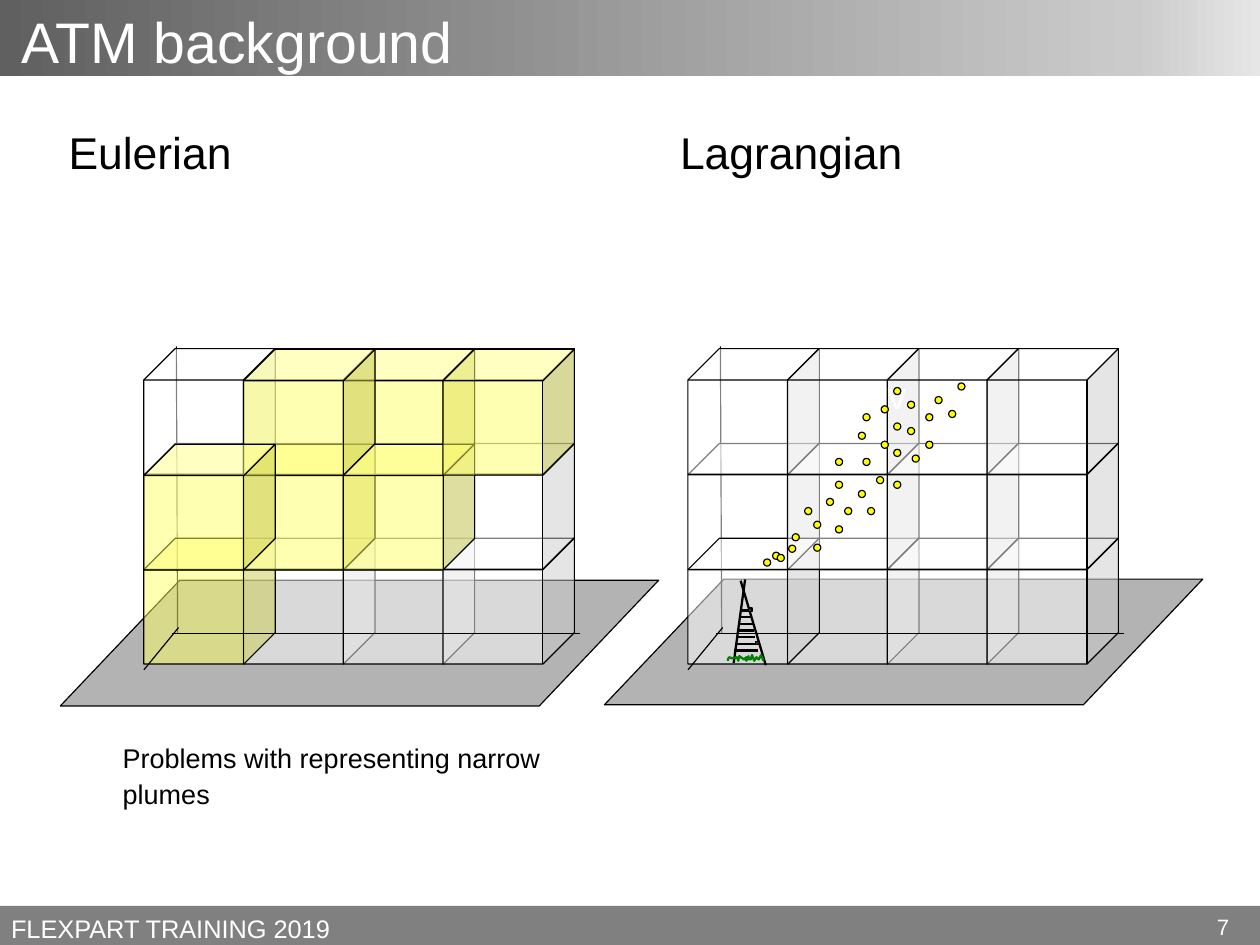
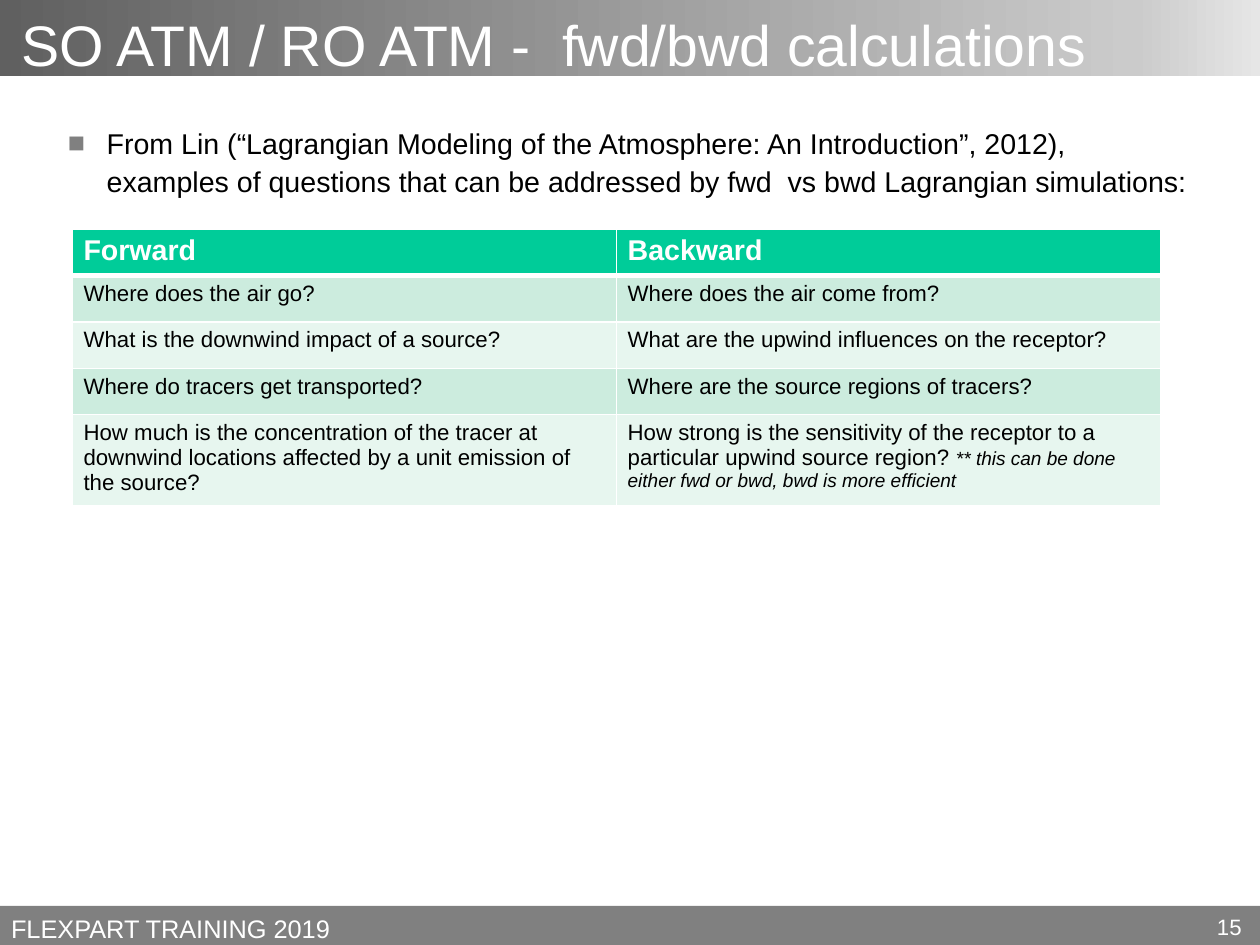
from lxml import etree
from pptx import Presentation
from pptx.dml.color import RGBColor
from pptx.enum import shapes, text
from pptx.oxml import ns, parse_xml
from pptx.util import Pt

BLACK = RGBColor(0, 0, 0)
WHITE = RGBColor(255, 255, 255)
FOOTER_GRAY = RGBColor(0x80, 0x80, 0x80)
GROUND_GRAY = RGBColor(0xB3, 0xB3, 0xB3)
DARK_GRAY = RGBColor(0x33, 0x33, 0x33)
PALE_YELLOW = RGBColor(255, 255, 0x66)
YELLOW = RGBColor(255, 255, 0)
GREEN = RGBColor(0, 0x80, 0)
HEADER_GREEN = RGBColor(0, 0xCC, 0x99)
ROW_GREENS = (RGBColor(0xCC, 0xEC, 0xDE), RGBColor(0xE7, 0xF6, 0xEF))
BAND_STOPS = ((0, RGBColor(0x60, 0x60, 0x60)), (90, RGBColor(0xCB, 0xCB, 0xCB)),
              (100, RGBColor(0xE6, 0xE6, 0xE6)))

WIDTH, HEIGHT = 793.75, 595.25
INSETS = (7.2, 3.6)
COLUMNS = range(4)
CUBE_LEFT, CUBE_TOP, CUBE_STEP_X, CUBE_STEP_Y = 90.6, 219.6, 62.8, 59.75
GRID_GAP = 342.75

WHITE_CUBES = ([(1, 2), (2, 2), (3, 2), (0, 1), (0, 2), (1, 1), (2, 1), (3, 1)]
               + [(column, 0) for column in COLUMNS])
YELLOW_CUBES = [(1, 1), (2, 0), (2, 1), (3, 0), (1, 0), (0, 1)]

PARTICLES = [
    (481, 352.1), (486.7, 347.8), (496.8, 343.4), (489.6, 349.2), (499, 336.2),
    (512.6, 342.7), (526.3, 331.2), (506.9, 319.7), (512.6, 328.3), (520.6, 313.9),
    (532.1, 319.7), (546.5, 319.7), (540.7, 308.9), (526.3, 288.7), (526.3, 303.1),
    (563, 283), (543.6, 288.7), (552.2, 300.2), (563, 303.1), (574.6, 286.6),
    (583.2, 277.9), (543.6, 260.6), (540.7, 272.2), (555.1, 277.9), (563, 266.4),
    (583.2, 260.6), (571.7, 252.7), (571.7, 269.3), (555.1, 255.6), (589, 249.8),
    (597.6, 258.5), (603.4, 241.2)]
LABELLED_PARTICLE = (563, 244.1)

GRASS = [
    (458.6, 416.2), (458.6, 415.4), (459.4, 414), (461.5, 414.7), (464.4, 414),
    (465.1, 416.2), (465.8, 413.3), (468.7, 415.4), (470.2, 414), (470.2, 416.2),
    (471.6, 413.3), (471.6, 415.4), (473, 414.7), (473, 415.4), (473.8, 412.6),
    (475.2, 416.2), (476.6, 414), (478.1, 415.4), (479.5, 412.6), (481, 416.2)]

QUESTIONS = [
    ("Forward", "Backward"),
    ("Where does the air go?", "Where does the air come from?"),
    ("What is the downwind impact of a source?",
     "What are the upwind influences on the receptor?"),
    ("Where do tracers get transported?", "Where are the source regions of tracers?"),
    ("How much is the concentration of the tracer at downwind locations affected by "
     "a unit emission of the source?",
     "How strong is the sensitivity of the receptor to a particular upwind source region? ")]
SENSITIVITY_NOTE = "** this can be done either fwd or bwd, bwd is more efficient"


class Deck:
    font = "Arial"
    spacing = 1.13

    def __init__(self):
        self.presentation = Presentation()
        self.presentation.slide_width = Pt(WIDTH)
        self.presentation.slide_height = Pt(HEIGHT)
        self.slide = self.canvas = None

    def begin(self, layout, title, number, title_top):
        layouts = self.presentation.slide_layouts
        self.slide = self.presentation.slides.add_slide(layouts[layout])
        self.canvas = self.slide.shapes
        if len(self.presentation.slides) == 1:
            self.master_bands()
        self.fill_text(self.slide.shapes.title, (13.7, title_top, 717.5, 49), title, 36,
                       WHITE, anchor=text.MSO_ANCHOR.MIDDLE)
        self.text_box((759.6, 569.4, 33, 28), number, 14, WHITE, insets=INSETS)

    def master_bands(self):
        rectangle = shapes.MSO_SHAPE.RECTANGLE
        header = self.shape(rectangle, (0, 0, WIDTH, 48.2), FOOTER_GRAY, None)
        stops = "".join(f'<a:gs pos="{position * 1000}"><a:srgbClr val="{color}"/></a:gs>'
                        for position, color in BAND_STOPS)
        solid = header.element.spPr.find(ns.qn("a:solidFill"))
        header.element.spPr.replace(solid, parse_xml(
            f'<a:gradFill {ns.nsdecls("a")} rotWithShape="1"><a:gsLst>{stops}</a:gsLst>'
            '<a:lin ang="0" scaled="0"/></a:gradFill>'))
        footer = self.shape(rectangle, (0, 570.7, WIDTH, 24.55), FOOTER_GRAY, None)
        label = self.text_box((7, 569.4, 378.7, 28), "FLEXPART TRAINING 2019", 16, WHITE,
                              anchor=text.MSO_ANCHOR.MIDDLE)
        tree = self.presentation.slide_master.shapes.element
        for index, shape in enumerate((header, footer, label)):
            shape.element.xpath(".//p:cNvPr")[0].set("id", str(100 + index))
            tree.insert(2 + index, shape.element)

    def place(self, shape, box):
        for name, value in zip(("left", "top", "width", "height"), box):
            setattr(shape, name, Pt(value))

    def add_run(self, paragraph, words, size, color, **formats):
        run = paragraph.add_run()
        run.text = words
        run.font.color.rgb = color
        for name, value in dict(name=self.font, size=Pt(size), **formats).items():
            setattr(run.font, name, value)

    def fill_text(self, shape, box, words, size, color, anchor=text.MSO_ANCHOR.TOP,
                  insets=(0, 0), after=0, indent=None, bullet=None,
                  alignment=text.PP_ALIGN.LEFT, wrap=True):
        self.place(shape, box)
        frame = shape.text_frame
        side, edge = (Pt(value) for value in insets)
        formats = dict(word_wrap=wrap, auto_size=text.MSO_AUTO_SIZE.NONE,
                       vertical_anchor=anchor, margin_left=side, margin_right=side,
                       margin_top=edge, margin_bottom=edge)
        for name, value in formats.items():
            setattr(frame, name, value)
        paragraph = frame.paragraphs[0]
        if indent:
            self.set_bullet(paragraph, indent, bullet)
        formats = dict(alignment=alignment, line_spacing=self.spacing,
                       space_before=Pt(0), space_after=Pt(after))
        for name, value in formats.items():
            setattr(paragraph, name, value)
        self.add_run(paragraph, words, size, color)

    def set_bullet(self, paragraph, indent, bullet):
        properties = paragraph._p.get_or_add_pPr()
        for name, value in zip(("marL", "indent"), indent):
            properties.set(name, str(Pt(value)))
        if bullet:
            color = etree.SubElement(properties, ns.qn("a:buClr"))
            etree.SubElement(color, ns.qn("a:srgbClr")).set("val", str(FOOTER_GRAY))
            etree.SubElement(properties, ns.qn("a:buFont")).set("typeface", self.font)
            etree.SubElement(properties, ns.qn("a:buChar")).set("char", bullet)
        else:
            etree.SubElement(properties, ns.qn("a:buNone"))

    def text_box(self, box, words, size, color, **options):
        shape = self.canvas.add_textbox(*map(Pt, box))
        self.fill_text(shape, box, words, size, color, **options)
        return shape

    def body(self, index, box, words, size, **options):
        self.fill_text(self.slide.placeholders[index], box, words, size, BLACK,
                       after=14.2, **options)

    def shape(self, kind, box, fill, line=BLACK, alpha=None):
        shape = self.canvas.add_shape(kind, *map(Pt, box))
        shape.shadow.inherit = False
        shape.fill.solid()
        shape.fill.fore_color.rgb = fill
        if alpha:
            color = shape.element.spPr.find(".//" + ns.qn("a:srgbClr"))
            etree.SubElement(color, ns.qn("a:alpha")).set("val", str(alpha * 1000))
        if line is None:
            shape.line.fill.background()
        else:
            shape.line.color.rgb = line
            shape.line.width = Pt(0.75)
        return shape

    def line(self, start, end, weight=0.75):
        connector = self.canvas.add_connector(shapes.MSO_CONNECTOR.STRAIGHT,
                                              *map(Pt, (*start, *end)))
        connector.line.color.rgb = BLACK
        connector.line.width = Pt(weight)
        etree.SubElement(connector.element.spPr, ns.qn("a:effectLst"))

    def cube(self, column, level, fill, offset_x=0, offset_y=0):
        left = CUBE_LEFT + offset_x + column * CUBE_STEP_X
        top = CUBE_TOP + offset_y + level * CUBE_STEP_Y
        self.shape(shapes.MSO_SHAPE.CUBE, (left, top, 82.8, 79.2), fill, alpha=50)

    def grid(self, offset, ground_top, yellow=()):
        ground = self.shape(shapes.MSO_SHAPE.PARALLELOGRAM,
                            (38, ground_top, 377, 79.2), GROUND_GRAY)
        ground.left = Pt(38 + offset)
        ground.adjustments[0] = 0.95
        self.line((111.1 + offset, 218.2), (111.9 + offset, 398.9))
        for cell in WHITE_CUBES:
            self.cube(*cell, PALE_YELLOW if cell in yellow else WHITE, offset)
        self.line((90.7 + offset, 421.9), (112.5 + offset, 395.3))
        self.line((365.6 + offset, 398.9), (108.2 + offset, 398.9))

    def particle(self, position):
        return self.shape(shapes.MSO_SHAPE.OVAL, (*position, 4.5, 4.5), YELLOW)

    def tower(self):
        self.canvas = self.slide.shapes.add_group_shape().shapes
        self.line((482.4, 419), (466.6, 365.8), 1.45)
        self.line((462.2, 417.6), (469.4, 365), 1.45)
        for step in range(7):
            height = 384.5 + 4.2 * step
            self.line((467.5 - 0.8 * step, height), (472.5 + 0.8 * step, height), 1.45)
        points = [(Pt(x), Pt(y)) for x, y in GRASS]
        builder = self.canvas.build_freeform(*points[0])
        builder.add_line_segments(points[1:], close=False)
        grass = builder.convert_to_shape()
        grass.shadow.inherit = False
        grass.fill.background()
        grass.line.color.rgb = GREEN
        grass.line.width = Pt(1.45)
        for left, top in ((471.6, 383), (475.9, 403.9)):
            self.shape(shapes.MSO_SHAPE.RECTANGLE, (left, top, 2.2, 2.2), DARK_GRAY)
        self.canvas = self.slide.shapes

    def table(self, box, rows, heights):
        table = self.canvas.add_table(len(rows), len(rows[0]), *map(Pt, box)).table
        for row, height in zip(table.rows, heights):
            row.height = Pt(height)
        for level, row in enumerate(rows):
            for column, words in enumerate(row):
                cell = table.cell(level, column)
                header = level == 0
                paragraph = cell.text_frame.paragraphs[0]
                self.add_run(paragraph, words, 18 if header else 14,
                             WHITE if header else BLACK, bold=header)
                self.borders(cell, dict(lnL=1, lnR=1, lnT=3 if level == 1 else 1,
                                        lnB=3 if header else 1))
                cell.fill.solid()
                cell.fill.fore_color.rgb = HEADER_GREEN if header else ROW_GREENS[(level - 1) % 2]
        return table

    def borders(self, cell, weights):
        properties = cell._tc.get_or_add_tcPr()
        for side, weight in weights.items():
            line = etree.SubElement(properties, ns.qn("a:" + side), w=str(Pt(weight)))
            fill = etree.SubElement(line, ns.qn("a:solidFill"))
            etree.SubElement(fill, ns.qn("a:srgbClr")).set("val", str(WHITE))


def background_slide(deck):
    deck.begin(3, "ATM background", "7", -1.4)
    for index, left, width, heading in ((1, 39.6, 127.4, "Eulerian"),
                                        (2, 424.8, 162, "Lagrangian")):
        deck.body(index, (left, 74.2, width, 68.4), heading, 28, indent=(26.6, -23))
    for placeholder in list(deck.slide.placeholders):
        if not placeholder.text_frame.text:
            placeholder.element.getparent().remove(placeholder.element)
    deck.grid(0, 365.5, yellow=[(0, 2)])
    deck.grid(GRID_GAP, 364.8)
    deck.tower()
    for cell in YELLOW_CUBES:
        deck.cube(*cell, PALE_YELLOW, offset_y=0.5)
    deck.text_box((77.3, 464.4, 302.4, 88.6), "Problems with representing narrow plumes", 17,
                  BLACK, after=14.2)
    for position in PARTICLES:
        deck.particle(position)
    labelled = deck.particle(LABELLED_PARTICLE)
    deck.fill_text(labelled, (*LABELLED_PARTICLE, 4.5, 4.5), "v", 24, WHITE,
                   anchor=text.MSO_ANCHOR.MIDDLE, insets=INSETS,
                   alignment=text.PP_ALIGN.CENTER, wrap=False)


def calculations_slide(deck):
    deck.begin(1, "SO ATM / RO ATM -  fwd/bwd calculations", "15", 0)
    deck.body(1, (34.3, 72.7, 722.2, 72),
              "From Lin (“Lagrangian Modeling of the Atmosphere: An Introduction”, 2012), "
              "examples of questions that can be addressed by fwd  vs bwd Lagrangian simulations:",
              18, insets=INSETS, indent=(25.7, -24.5), bullet="■")
    table = deck.table((45.4, 144.4, 685.6, 174.2), QUESTIONS, [29.2] * 4 + [57.4])
    paragraph = table.cell(4, 1).text_frame.paragraphs[0]
    deck.add_run(paragraph, SENSITIVITY_NOTE, 12, BLACK, italic=True)


def main():
    deck = Deck()
    background_slide(deck)
    calculations_slide(deck)
    deck.presentation.save("out.pptx")


if __name__ == "__main__":
    main()
